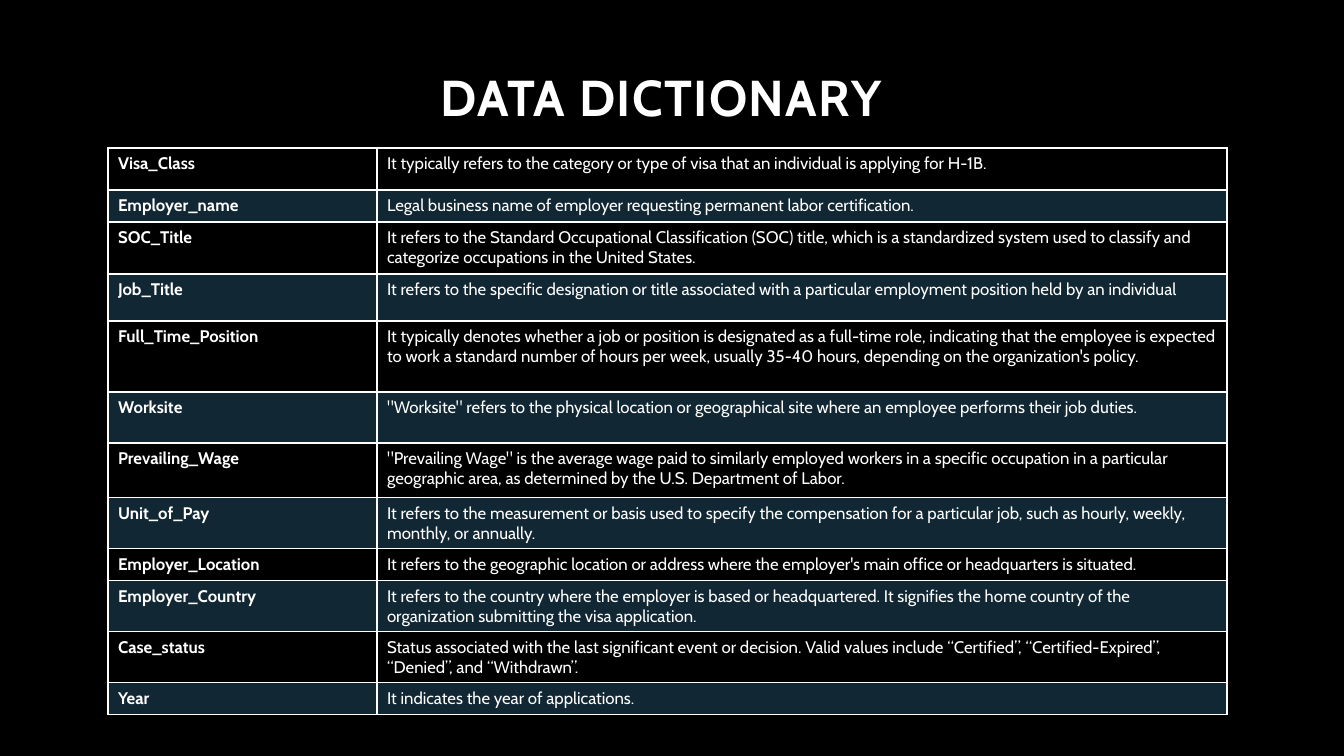
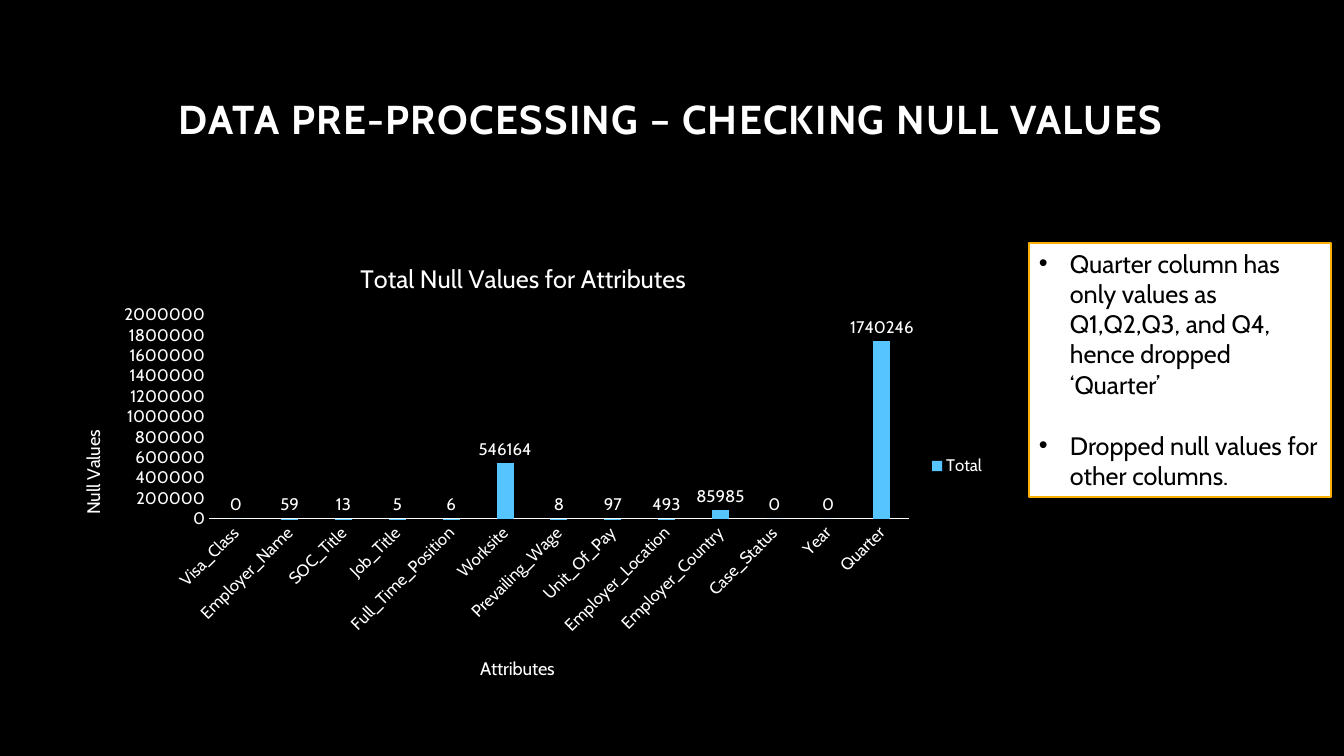
from dataclasses import dataclass

from lxml import etree
from pptx import Presentation
from pptx import util as u
from pptx.chart.data import CategoryChartData
from pptx.dml.color import RGBColor
from pptx.enum import chart as ch
from pptx.enum import shapes, text
from pptx.oxml.ns import qn

PX = 12192000 / 1344
WIDTH, HEIGHT = 1344, 756


@dataclass(frozen=True)
class Theme:
    font: str = "Cabin"
    page: str = "000000"
    ink: str = "FFFFFF"
    accent: str = "56C5FF"
    note_fill: str = "FFFFFF"
    note_ink: str = "000000"
    note_line: str = "F8B004"
    band_opacity: int = 20
    title: float = 36
    long_title: float = 28.8
    body: float = 12
    note: float = 18
    chart_title: float = 18
    axis_title: float = 13


THEME = Theme()

DEFINITIONS = [
    (42, "Visa_Class", "It typically refers to the category or type of visa that an individual is applying for H-1B."),
    (32, "Employer_name", "Legal business name of employer requesting permanent labor certification."),
    (52, "SOC_Title", "It refers to the Standard Occupational Classification (SOC) title, which is a standardized "
     "system used to classify and categorize occupations in the United States."),
    (47, "Job_Title", "It refers to the specific designation or title associated with a particular employment "
     "position held by an individual"),
    (71, "Full_Time_Position", "It typically denotes whether a job or position is designated as a full-time role, "
     "indicating that the employee is expected to work a standard number of hours per week, usually 35-40 hours, "
     "depending on the organization's policy."),
    (51, "Worksite", "\"Worksite\" refers to the physical location or geographical site where an employee performs "
     "their job duties."),
    (55, "Prevailing_Wage", "\"Prevailing Wage\" is the average wage paid to similarly employed workers in a specific "
     "occupation in a particular geographic area, as determined by the U.S. Department of Labor."),
    (51, "Unit_of_Pay", "It refers to the measurement or basis used to specify the compensation for a particular job, "
     "such as hourly, weekly, monthly, or annually."),
    (32, "Employer_Location", "It refers to the geographic location or address where the employer's main office or "
     "headquarters is situated."),
    (51, "Employer_Country", "It refers to the country where the employer is based or headquartered. It signifies the "
     "home country of the organization submitting the visa application."),
    (51, "Case_status", "Status associated with the last significant event or decision. Valid values include "
     "“Certified”, “Certified-Expired”, “Denied”, and “Withdrawn”."),
    (32, "Year", "It indicates the year of applications."),
]

NULL_COUNTS = {
    "Visa_Class": 0, "Employer_Name": 59, "SOC_Title": 13, "Job_Title": 5, "Full_Time_Position": 6,
    "Worksite": 546164, "Prevailing_Wage": 8, "Unit_Of_Pay": 97, "Employer_Location": 493,
    "Employer_Country": 85985, "Case_Status": 0, "Year": 0, "Quarter": 1740246,
}

FINDINGS = [
    "Quarter column has only values as Q1,Q2,Q3, and Q4, hence dropped ‘Quarter’",
    "Dropped null values for other columns.",
]


def px(*lengths):
    return [u.Emu(round(length * PX)) for length in lengths]


def style_font(font, size, color=THEME.ink, bold=False):
    font.name, font.size, font.bold = THEME.font, u.Pt(size), bold
    font.color.rgb = RGBColor.from_string(color)


def write(frame, content, size=THEME.body, color=THEME.ink, bold=False, align=None,
          line_spacing=None, tracking=None, bullet=None, indent=0, gap=0):
    """Fill a text frame with one paragraph per string; tracking and gap are in points."""
    lines = [content] if isinstance(content, str) else content
    for index, line in enumerate(lines):
        paragraph = frame.add_paragraph() if index else frame.paragraphs[0]
        if bullet:
            props = paragraph._p.get_or_add_pPr()
            margin, = px(indent)
            props.set("marL", str(margin))
            props.set("indent", str(-margin))
            etree.SubElement(props, qn("a:buFont"), typeface="Arial")
            etree.SubElement(props, qn("a:buChar"), char=bullet)
        if align is not None:
            paragraph.alignment = align
        if line_spacing:
            paragraph.line_spacing = line_spacing
        if index and gap:
            paragraph.space_before = u.Pt(gap)
        run = paragraph.add_run()
        run.text = line
        style_font(run.font, size, color, bold)
        if tracking:
            run._r.get_or_add_rPr().set("spc", str(tracking * 100))


def outline_cell(cell, color):
    props = cell._tc.get_or_add_tcPr()
    for side in ("lnL", "lnR", "lnT", "lnB"):
        line = etree.SubElement(props, qn(f"a:{side}"), w=str(u.Pt(1)))
        fill = etree.SubElement(line, qn("a:solidFill"))
        etree.SubElement(fill, qn("a:srgbClr"), val=color)


def shade_cell(cell, color, opacity):
    cell.fill.solid()
    cell.fill.fore_color.rgb = RGBColor.from_string(color)
    shade = cell._tc.tcPr.find(f"{qn('a:solidFill')}/{qn('a:srgbClr')}")
    etree.SubElement(shade, qn("a:alpha"), val=str(opacity * 1000))


def pin(element, frame, left, top, width=None, height=None):
    """Fix a chart part at slide px inside the chart frame (left, top, width, height)."""
    for old in element.findall(qn("c:layout")):
        element.remove(old)
    layout = etree.Element(qn("c:layout"))
    manual = etree.SubElement(layout, qn("c:manualLayout"))
    values = {"xMode": "edge", "yMode": "edge"}
    if width:
        values = {"layoutTarget": "inner", **values}
    values["x"] = round((left - frame[0]) / frame[2], 4)
    values["y"] = round((top - frame[1]) / frame[3], 4)
    if width:
        values["w"] = round(width / frame[2], 4)
        values["h"] = round(height / frame[3], 4)
    for tag, value in values.items():
        etree.SubElement(manual, qn(f"c:{tag}"), val=str(value))
    element.insert(0 if element.find(qn("c:tx")) is None else 1, layout)


def rotate(body, degrees):
    body.set("rot", str(degrees * 60000))
    body.set("vert", "horz")


class Deck:
    def __init__(self, theme):
        self.theme = theme
        self.file = Presentation()
        self.file.slide_width, self.file.slide_height = px(WIDTH, HEIGHT)
        self.slide = None

    def new_slide(self):
        self.slide = self.file.slides.add_slide(self.file.slide_layouts[6])
        backdrop = self.slide.background.fill
        backdrop.solid()
        backdrop.fore_color.rgb = RGBColor.from_string(self.theme.page)

    def title(self, heading, box, size):
        frame = self.slide.shapes.add_textbox(*px(*box)).text_frame
        frame.word_wrap = True
        frame.vertical_anchor = text.MSO_ANCHOR.BOTTOM
        write(frame, heading, size=size, bold=True, align=text.PP_ALIGN.CENTER,
              line_spacing=0.9, tracking=1)

    def dictionary(self, definitions, left, top, widths):
        height = sum(row[0] for row in definitions)
        table = self.slide.shapes.add_table(
            len(definitions), len(widths), *px(left, top, sum(widths), height)).table
        table.first_row = table.horz_banding = False
        for column, width in zip(table.columns, px(*widths)):
            column.width = width
        for index, (row_height, *entry) in enumerate(definitions):
            table.rows[index].height, = px(row_height)
            for column, content in enumerate(entry):
                cell = table.cell(index, column)
                write(cell.text_frame, content, bold=column == 0)
                outline_cell(cell, self.theme.ink)
                if index % 2:
                    shade_cell(cell, self.theme.accent, self.theme.band_opacity)
                else:
                    cell.fill.background()

    def column_chart(self, heading, counts, frame, plot_box):
        theme = self.theme
        data = CategoryChartData(number_format="General")
        data.categories = list(counts)
        data.add_series("Total", list(counts.values()))
        chart = self.slide.shapes.add_chart(
            ch.XL_CHART_TYPE.COLUMN_CLUSTERED, *px(*frame), data).chart
        style_font(chart.font, theme.body)

        chart.has_title = True
        write(chart.chart_title.text_frame, heading, size=theme.chart_title)
        pin(chart.chart_title._element, frame, 356, 257)
        pin(chart._chartSpace.chart.plotArea, frame, *plot_box)

        chart.has_legend = True
        chart.legend.position = ch.XL_LEGEND_POSITION.RIGHT
        chart.legend.include_in_layout = False
        style_font(chart.legend.font, theme.body)

        plot = chart.plots[0]
        plot.gap_width, plot.overlap, plot.vary_by_categories = 219, -27, False
        totals = plot.series[0]
        totals.format.fill.solid()
        totals.format.fill.fore_color.rgb = RGBColor.from_string(theme.accent)
        labels = totals.data_labels
        labels.show_value = True
        labels.position = ch.XL_LABEL_POSITION.OUTSIDE_END
        style_font(labels.font, theme.body)

        categories, values = chart.category_axis, chart.value_axis
        for axis, name, spot in ((categories, "Attributes", (477, 653)),
                                 (values, "Null Values", (78, 427))):
            axis.has_major_gridlines = False
            axis.major_tick_mark = axis.minor_tick_mark = ch.XL_TICK_MARK.NONE
            style_font(axis.tick_labels.font, theme.body)
            write(axis.axis_title.text_frame, name, size=theme.axis_title)
            pin(axis.axis_title._element, frame, *spot)
        categories.format.line.color.rgb = RGBColor.from_string(theme.ink)
        categories.format.line.width = u.Pt(0.75)
        rotate(categories._element.find(f"{qn('c:txPr')}/{qn('a:bodyPr')}"), -45)
        values.format.line.fill.background()
        values.minimum_scale, values.maximum_scale, values.major_unit = 0, 2000000, 200000
        rotate(values.axis_title.text_frame._txBody.bodyPr, -90)

    def note(self, points, box):
        theme = self.theme
        card = self.slide.shapes.add_shape(shapes.MSO_SHAPE.RECTANGLE, *px(*box))
        card.shadow.inherit = False
        card.fill.solid()
        card.fill.fore_color.rgb = RGBColor.from_string(theme.note_fill)
        card.line.color.rgb = RGBColor.from_string(theme.note_line)
        card.line.width = u.Pt(1)
        frame = card.text_frame
        frame.word_wrap = True
        frame.auto_size = text.MSO_AUTO_SIZE.SHAPE_TO_FIT_TEXT
        frame.vertical_anchor = text.MSO_ANCHOR.TOP
        write(frame, points, size=theme.note, color=theme.note_ink, bullet="•", indent=31,
              gap=22, align=text.PP_ALIGN.LEFT)


def main():
    deck = Deck(THEME)

    deck.new_slide()
    deck.title("DATA DICTIONARY", (167, 42, 988, 90), THEME.title)
    deck.dictionary(DEFINITIONS, 108, 148, (269, 850))

    deck.new_slide()
    deck.title("DATA PRE-PROCESSING – CHECKING NULL VALUES", (167, 42, 1008, 106), THEME.long_title)
    deck.column_chart("Total Null Values for Attributes", NULL_COUNTS,
                      frame=(52, 235, 944, 462), plot_box=(209, 315, 700, 204))
    deck.note(FINDINGS, (1029, 243, 302, 254))

    deck.file.save("out.pptx")


if __name__ == "__main__":
    main()
